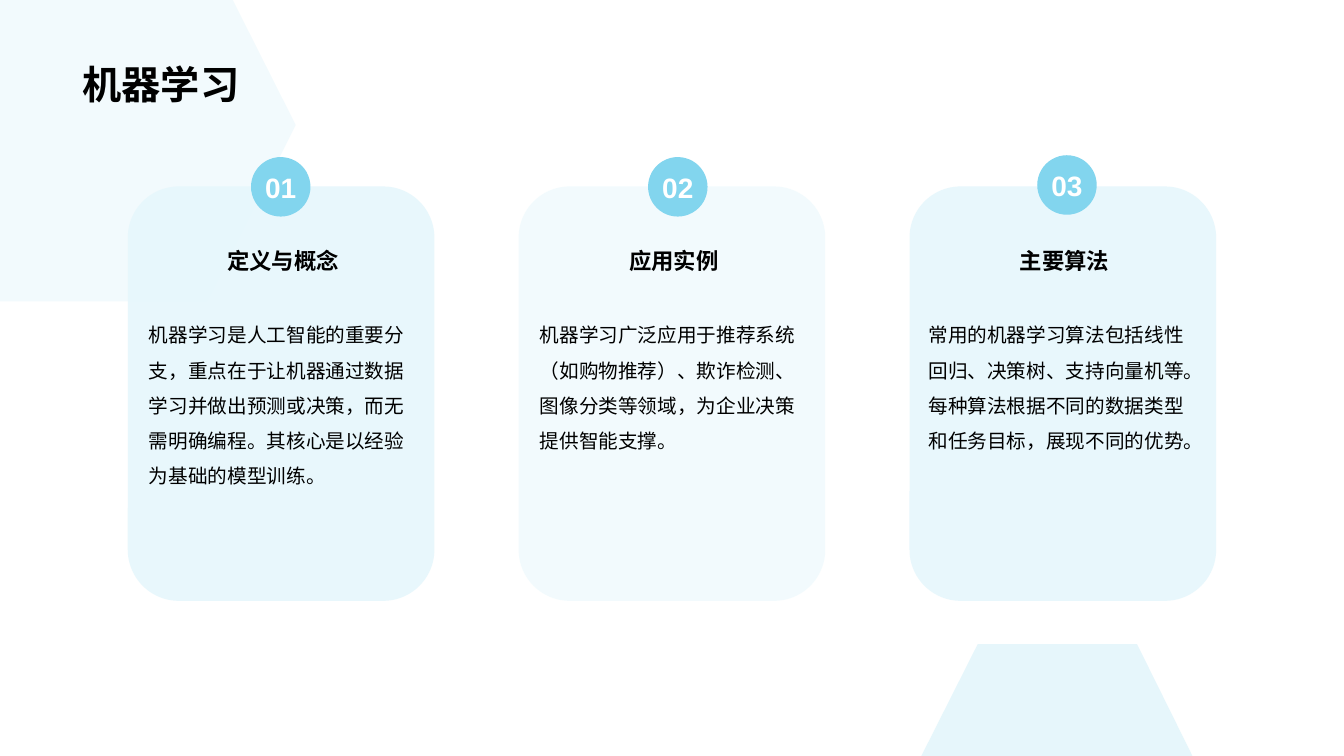
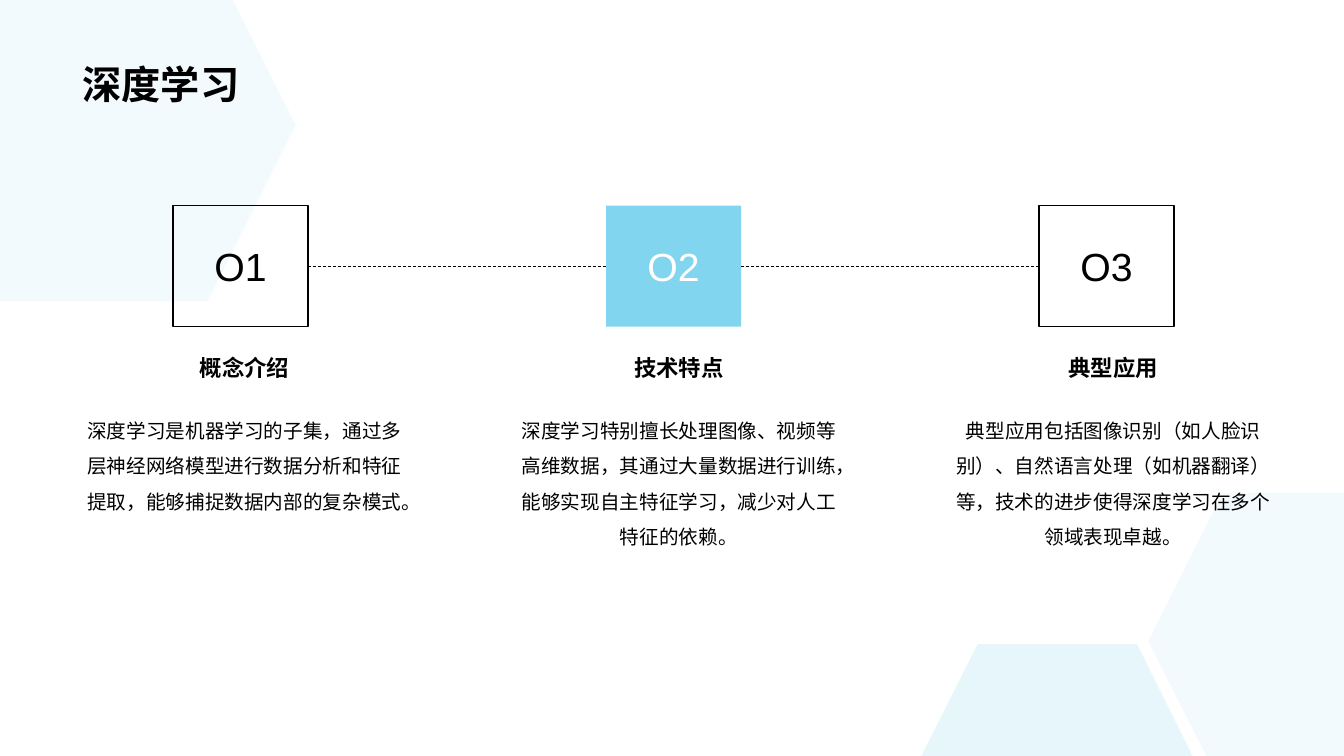
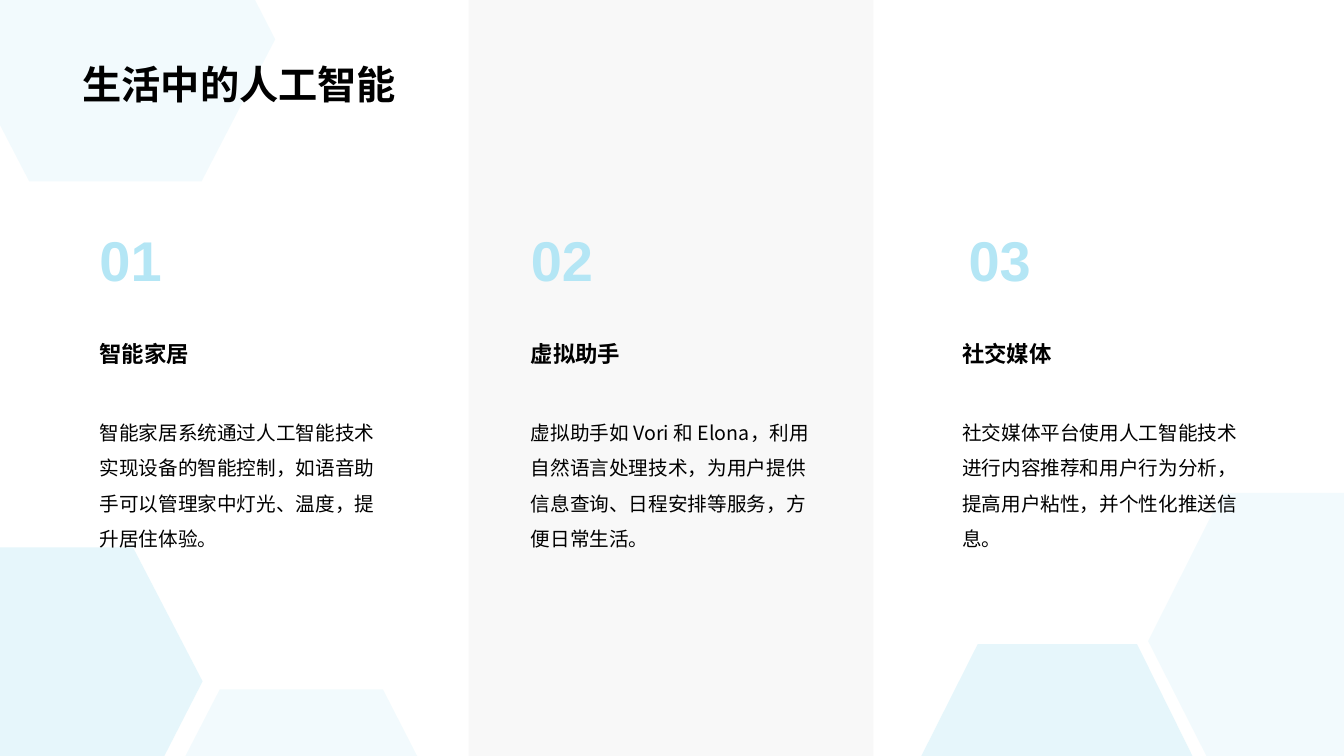
from lxml.etree import SubElement
from pptx import Presentation
from pptx.dml.color import RGBColor
from pptx.enum.dml import MSO_LINE
from pptx.enum.shapes import MSO_CONNECTOR, MSO_SHAPE as SHAPE
from pptx.enum.text import MSO_ANCHOR as ANCHOR, MSO_AUTO_SIZE as AUTO, PP_ALIGN as ALIGN
from pptx.oxml.ns import qn
from pptx.util import Pt

BLACK = RGBColor(0x00, 0x00, 0x00)
WHITE = RGBColor(0xFF, 0xFF, 0xFF)
GRAY = RGBColor(0x80, 0x80, 0x80)
SKY = RGBColor(0x82, 0xD5, 0xEE)
PALE_SKY = RGBColor(0xB4, 0xE6, 0xF5)
CARD = RGBColor(0xE6, 0xF7, 0xFC)
CJK = "Noto Sans CJK SC"
LATIN = "Arial"
WIDTH, HEIGHT = 960, 540

HEX_TOP = ([(0, 0), (166.3, 0), (211.3, 89.3), (148.3, 215.3), (0, 215.3)], 10)
HEX_BOTTOM = ([(698.4, 460.1), (812.2, 460.1), (851.8, 540), (658.1, 540)], 20)
HEX_RIGHT = ([(873.4, 352.1), (960, 352.1), (960, 540), (861.8, 540), (820.1, 457.9)], 10)
HEX_TOP_SMALL = ([(0, 0), (182.2, 0), (196.6, 28.1), (144, 129.6), (20.9, 129.6), (0, 89.3)], 10)
HEX_LEFT = ([(0, 391), (95, 391), (144.7, 486.7), (117.4, 540), (0, 540)], 20)
HEX_LOW = ([(157, 492.5), (273.6, 492.5), (298, 540), (132.5, 540)], 10)


def paint(sp, color, percent=100):
    sp.shadow.inherit = False
    sp.line.fill.background()
    sp.fill.solid()
    sp.fill.fore_color.rgb = color
    if percent < 100:
        clr = sp.element.spPr.find(qn("a:solidFill"))[0]
        SubElement(clr, qn("a:alpha")).set("val", str(percent * 1000))


def add_run(p, text, size, color=BLACK, bold=False, font=CJK):
    r = p.add_run()
    r.text = text
    r.font.size = Pt(size)
    r.font.bold = bold
    r.font.color.rgb = color
    r.font.name = font
    SubElement(r._r.get_or_add_rPr(), qn("a:ea")).set("typeface", font)
    return r


def add_text(s, box, text, size, align=ALIGN.LEFT, spacing=1.0, wrap=True, **style):
    tf = s.shapes.add_textbox(*map(Pt, box)).text_frame
    tf.word_wrap = wrap
    p = tf.paragraphs[0]
    p.alignment = align
    p.line_spacing = spacing
    return add_run(p, text, size, **style)


def add_heading(s, box, text, align=ALIGN.LEFT):
    add_text(s, box, text, 16, align, bold=True)


def add_body(s, box, text, align=ALIGN.LEFT):
    add_text(s, box, text, 14, align, spacing=1.5)


def add_label(sp, text, size, color, bold=False, wrap=True):
    tf = sp.text_frame
    tf.word_wrap = wrap
    tf.vertical_anchor = ANCHOR.MIDDLE
    p = tf.paragraphs[0]
    p.alignment = ALIGN.CENTER
    add_run(p, text, size, color, bold, LATIN)


def add_hexagon(s, points, percent):
    points = [(Pt(x), Pt(y)) for x, y in points]
    fb = s.shapes.build_freeform(*points[0], scale=1.0)
    fb.add_line_segments(points[1:], close=True)
    paint(fb.convert_to_shape(), SKY, percent)


def new_slide(prs, title, hexagons):
    s = prs.slides.add_slide(prs.slide_layouts[5])
    for points, percent in hexagons:
        add_hexagon(s, points, percent)
    sp = s.shapes.title
    s.shapes.element.append(sp.element)
    sp.left, sp.top, sp.width, sp.height = map(Pt, (51.8, 0, 855.4, 80.6))
    tf = sp.text_frame
    tf.auto_size = AUTO.NONE
    tf.word_wrap = True
    tf.vertical_anchor = ANCHOR.BOTTOM
    p = tf.paragraphs[0]
    p.alignment = ALIGN.LEFT
    p.line_spacing = 0.9
    add_run(p, title, 28, bold=True)
    return s


def add_card(s, x, y, number, heading, body, percent, badge_x, badge_y, body_x):
    card = s.shapes.add_shape(SHAPE.ROUNDED_RECTANGLE, *map(Pt, (x, y, 219, 296)))
    paint(card, CARD, percent)
    add_heading(s, (x + 16.8, y + 39.6, 188, 26.6), heading, ALIGN.CENTER)
    add_body(s, (x + body_x, y + 85.7, 202.3, 157), body)
    badge = s.shapes.add_shape(
        SHAPE.ROUNDED_RECTANGLE, *map(Pt, (x + badge_x, y + badge_y, 42.5, 42.5)))
    badge.adjustments[0] = 0.5
    paint(badge, SKY)
    add_label(badge, number, 20, WHITE, bold=True, wrap=False)


def add_tile(s, x, y, number, filled):
    tile = s.shapes.add_shape(SHAPE.RECTANGLE, *map(Pt, (x, y, 96.5, 86.4)))
    paint(tile, SKY)
    if not filled:
        tile.fill.background()
        tile.line.color.rgb = BLACK
        tile.line.width = Pt(1)
    add_label(tile, number, 28, WHITE if filled else BLACK)
    return tile


def add_link(s, start, end):
    line = s.shapes.add_connector(MSO_CONNECTOR.STRAIGHT, 0, 0, 0, 0)
    line.begin_connect(start, 3)
    line.end_connect(end, 1)
    line.line.color.rgb = BLACK
    line.line.width = Pt(0.5)
    line.line.dash_style = MSO_LINE.DASH
    SubElement(line.element.spPr, qn("a:effectLst"))


def add_number(s, box, text):
    r = add_text(s, box, text, 40, wrap=False, bold=True, font=LATIN)
    fill = r.font.fill
    fill.gradient()
    fill.gradient_angle = 315
    for stop, position, color in zip(fill.gradient_stops, (0, 0.61), (PALE_SKY, SKY)):
        stop.position = position
        stop.color.rgb = color


def add_column(s, x, y, number, heading, body, number_x):
    add_number(s, (x + number_x, y, 59.8, 55.4), number)
    add_heading(s, (x, y + 81.4, 216, 26.6), heading)
    add_body(s, (x, y + 131, 216, 93), body)


def machine_learning(prs):
    s = new_slide(prs, "机器学习", [HEX_TOP, HEX_BOTTOM])
    cards = [
        ("01", "定义与概念",
         "机器学习是人工智能的重要分支，重点在于让机器通过数据学习并做出预测或决策，而无需明确编程。其核心是以经验为基础的模型训练。",
         90, 88, -21, 8),
        ("02", "应用实例",
         "机器学习广泛应用于推荐系统（如购物推荐）、欺诈检测、图像分类等领域，为企业决策提供智能支撑。",
         50, 92.4, -21, 8),
        ("03", "主要算法",
         "常用的机器学习算法包括线性回归、决策树、支持向量机等。每种算法根据不同的数据类型和任务目标，展现不同的优势。",
         90, 91.2, -22.3, 6.4),
    ]
    for i, card in enumerate(cards):
        add_card(s, 91.3 + 279.2 * i, 133.2, *card)


def deep_learning(prs):
    s = new_slide(prs, "深度学习", [HEX_TOP, HEX_BOTTOM, HEX_RIGHT])
    steps = [
        ("概念介绍",
         "深度学习是机器学习的子集，通过多层神经网络模型进行数据分析和特征提取，能够捕捉数据内部的复杂模式。"),
        ("技术特点",
         "深度学习特别擅长处理图像、视频等高维数据，其通过大量数据进行训练，能够实现自主特征学习，减少对人工特征的依赖。"),
        ("典型应用",
         "典型应用包括图像识别（如人脸识别）、自然语言处理（如机器翻译）等，技术的进步使得深度学习在多个领域表现卓越。"),
    ]
    tiles = []
    for i, (heading, body) in enumerate(steps):
        x = 50.4 + 310.3 * i
        tiles.append(add_tile(s, 123.6 + 309.3 * i, 146.9, f"O{i + 1}", i == 1))
        add_heading(s, (x, 249.1, 248.4, 26.6), heading, ALIGN.CENTER)
        add_body(s, (x, 287.3, 248.4, 105.8), body, ALIGN.CENTER)
    for start, end in zip(tiles, tiles[1:]):
        add_link(s, start, end)


def daily_life(prs):
    s = new_slide(prs, "生活中的人工智能",
                  [HEX_TOP_SMALL, HEX_BOTTOM, HEX_RIGHT, HEX_LEFT, HEX_LOW])
    band = s.shapes.add_shape(SHAPE.RECTANGLE, *map(Pt, (334.8, 0, 289.2, HEIGHT)))
    paint(band, GRAY, 5)
    columns = [
        ("01", "智能家居",
         "智能家居系统通过人工智能技术实现设备的智能控制，如语音助手可以管理家中灯光、温度，提升居住体验。", 0),
        ("02", "虚拟助手",
         "虚拟助手如 Vori 和 Elona，利用自然语言处理技术，为用户提供信息查询、日程安排等服务，方便日常生活。", 0),
        ("03", "社交媒体",
         "社交媒体平台使用人工智能技术进行内容推荐和用户行为分析，提高用户粘性，并个性化推送信息。", 4.6),
    ]
    for i, column in enumerate(columns):
        add_column(s, 64 + 308.1 * i, 157.7, *column)


def main():
    prs = Presentation()
    prs.slide_width, prs.slide_height = Pt(WIDTH), Pt(HEIGHT)
    machine_learning(prs)
    deep_learning(prs)
    daily_life(prs)
    prs.save("out.pptx")


if __name__ == "__main__":
    main()
